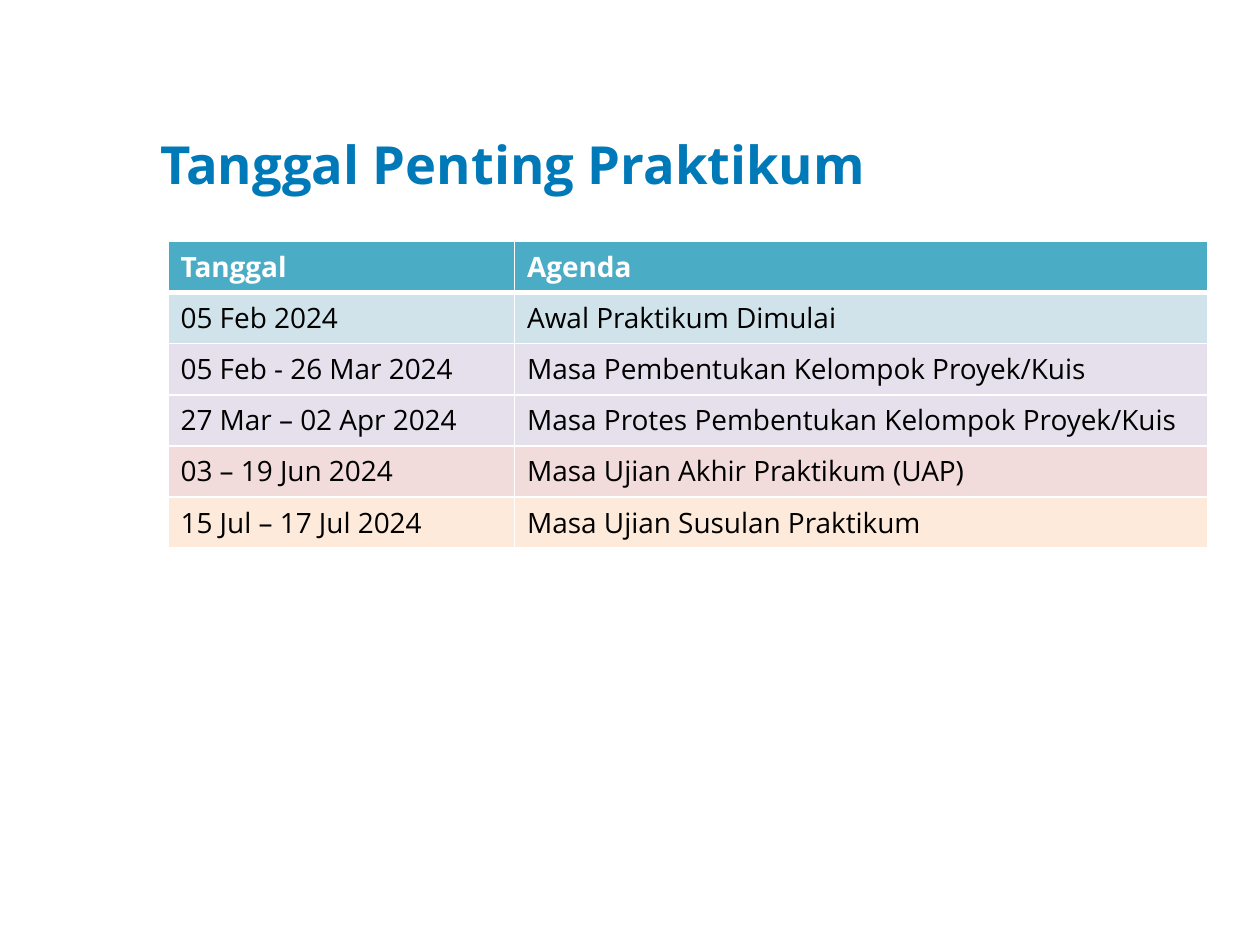
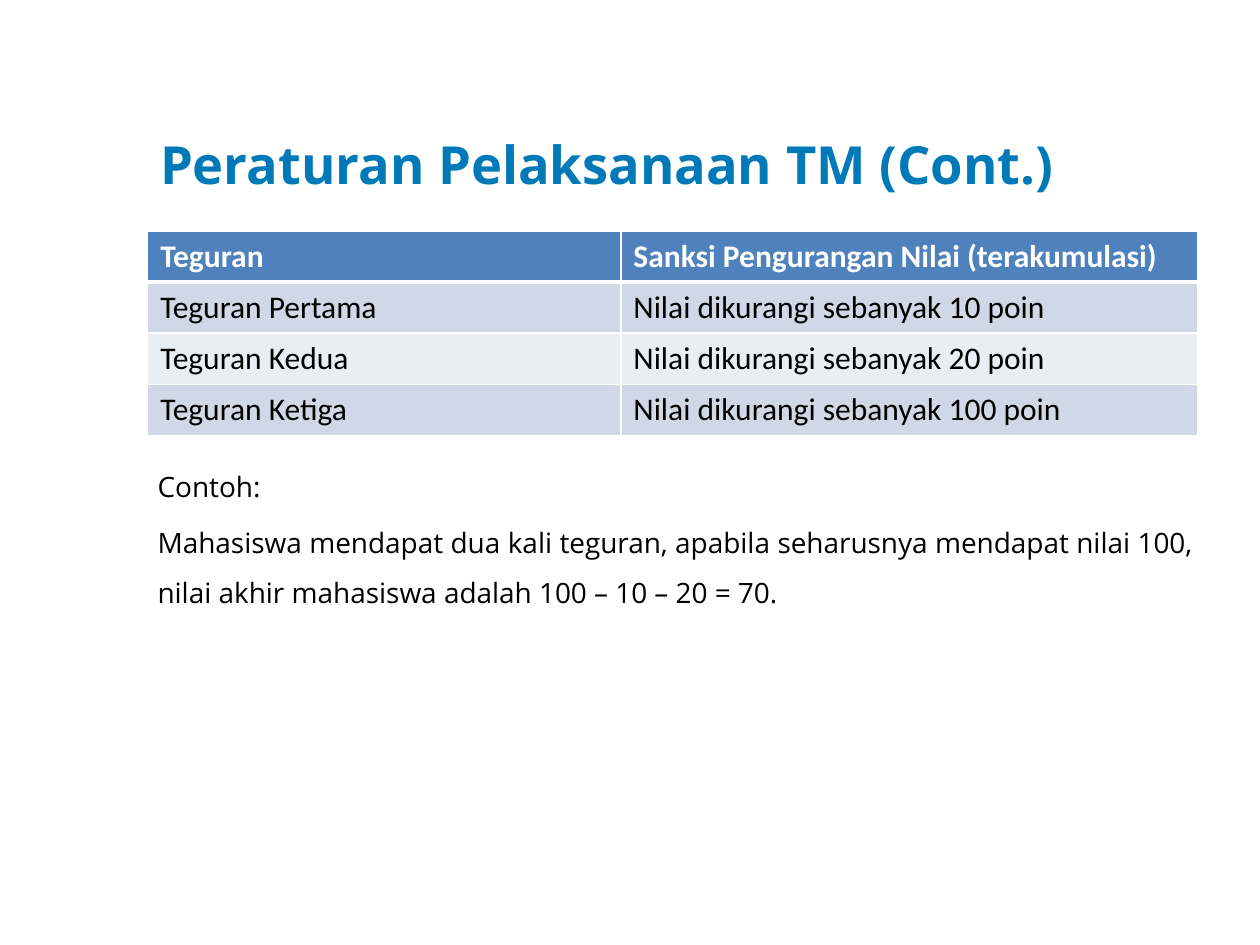
"""Build two course slides: key dates and the penalty rules."""
from lxml import etree
from pptx import Presentation
from pptx.dml.color import RGBColor
from pptx.enum.text import MSO_AUTO_SIZE, PP_ALIGN
from pptx.oxml.ns import qn
from pptx.util import Pt

JUST = PP_ALIGN.JUSTIFY
GROW = MSO_AUTO_SIZE.SHAPE_TO_FIT_TEXT
FIXED = MSO_AUTO_SIZE.NONE
SANS, BODY = "Open Sans", "Calibri"
BLUE, BLACK, WHITE = "0079B8", "000000", "FFFFFF"
ROW = 29.2

DATES = {
    "title": "Tanggal Penting Praktikum",
    "rows": [
        ("Tanggal", "Agenda"),
        ("05 Feb 2024", "Awal Praktikum Dimulai"),
        ("05 Feb - 26 Mar 2024", "Masa Pembentukan Kelompok Proyek/Kuis"),
        ("27 Mar – 02 Apr 2024", "Masa Protes Pembentukan Kelompok Proyek/Kuis"),
        ("03 – 19 Jun 2024", "Masa Ujian Akhir Praktikum (UAP)"),
        ("15 Jul – 17 Jul 2024", "Masa Ujian Susulan Praktikum"),
    ],
    "fills": ["4BACC6", "D0E3EA", "E6E0EC", "E6E0EC", "F2DCDB", "FDEADA"],
    "spot": (96, 138), "cols": (198, 396), "font": SANS, "size": 16,
    "notes": [],
}
RULES = {
    "title": "Peraturan Pelaksanaan TM (Cont.)",
    "rows": [
        ("Teguran", "Sanksi Pengurangan Nilai (terakumulasi)"),
        ("Teguran Pertama", "Nilai dikurangi sebanyak 10 poin"),
        ("Teguran Kedua", "Nilai dikurangi sebanyak 20 poin"),
        ("Teguran Ketiga", "Nilai dikurangi sebanyak 100 poin"),
    ],
    "fills": ["4F81BD", "D0D8E8", "E9EDF4", "D0D8E8"],
    "spot": (84.4, 132), "cols": (270.4, 329.6), "font": BODY, "size": 18,
    "notes": [
        "Contoh:",
        "Mahasiswa mendapat dua kali teguran, apabila seharusnya mendapat "
        "nilai 100, nilai akhir mahasiswa adalah 100 – 10 – 20 = 70.",
    ],
}


def color(code):
    return RGBColor.from_string(code)


def write(frame, lines, size=16, font=SANS, ink=BLACK, bold=False,
          align=None, lead=None, gap=None):
    for i, line in enumerate(lines):
        para = frame.add_paragraph() if i else frame.paragraphs[0]
        para.alignment = align
        para.line_spacing = lead
        para.space_before = gap
        run = para.add_run()
        run.text = line
        run.font.size = Pt(size)
        run.font.name = font
        run.font.bold = bold
        run.font.color.rgb = color(ink)


def add_box(slide, lines, left, top, wide, high, fit, **style):
    frame = slide.shapes.add_textbox(Pt(left), Pt(top), Pt(wide), Pt(high)).text_frame
    frame.word_wrap = True
    frame.auto_size = fit
    write(frame, lines, align=JUST, **style)


def rule(cell, side, width):
    props = cell._tc.get_or_add_tcPr()
    line = etree.SubElement(props, qn("a:ln" + side), w=str(Pt(width)))
    fill = etree.SubElement(line, qn("a:solidFill"))
    etree.SubElement(fill, qn("a:srgbClr"), val=WHITE)


def add_grid(slide, rows, fills, spot, cols, font, size):
    left, top = spot
    grid = slide.shapes.add_table(len(rows), len(cols), Pt(left), Pt(top),
                                  Pt(sum(cols)), Pt(ROW * len(rows))).table
    for col, wide in zip(grid.columns, cols):
        col.width = Pt(wide)
    for r, (row, fill) in enumerate(zip(rows, fills)):
        grid.rows[r].height = Pt(ROW)
        head = r == 0
        for c, text in enumerate(row):
            cell = grid.cell(r, c)
            for side in "LRTB":
                thick = (r, side) in ((0, "B"), (1, "T"))
                rule(cell, side, 3 if thick else 1)
            cell.fill.solid()
            cell.fill.fore_color.rgb = color(fill)
            write(cell.text_frame, [text], size=size, font=font,
                  ink=WHITE if head else BLACK, bold=head)


def add_page(deck, title, notes, **grid):
    slide = deck.slides.add_slide(deck.slide_layouts[6])
    add_box(slide, [title], 84.4, 72, 606, 44, GROW, size=30, ink=BLUE, bold=True)
    add_grid(slide, **grid)
    if notes:
        add_box(slide, notes, 83, 255, 606, 261, FIXED, lead=1.5, gap=Pt(3.2))


def main():
    deck = Presentation()
    deck.slide_width, deck.slide_height = Pt(720), Pt(540)
    for page in (DATES, RULES):
        add_page(deck, **page)
    deck.save("out.pptx")


if __name__ == "__main__":
    main()
